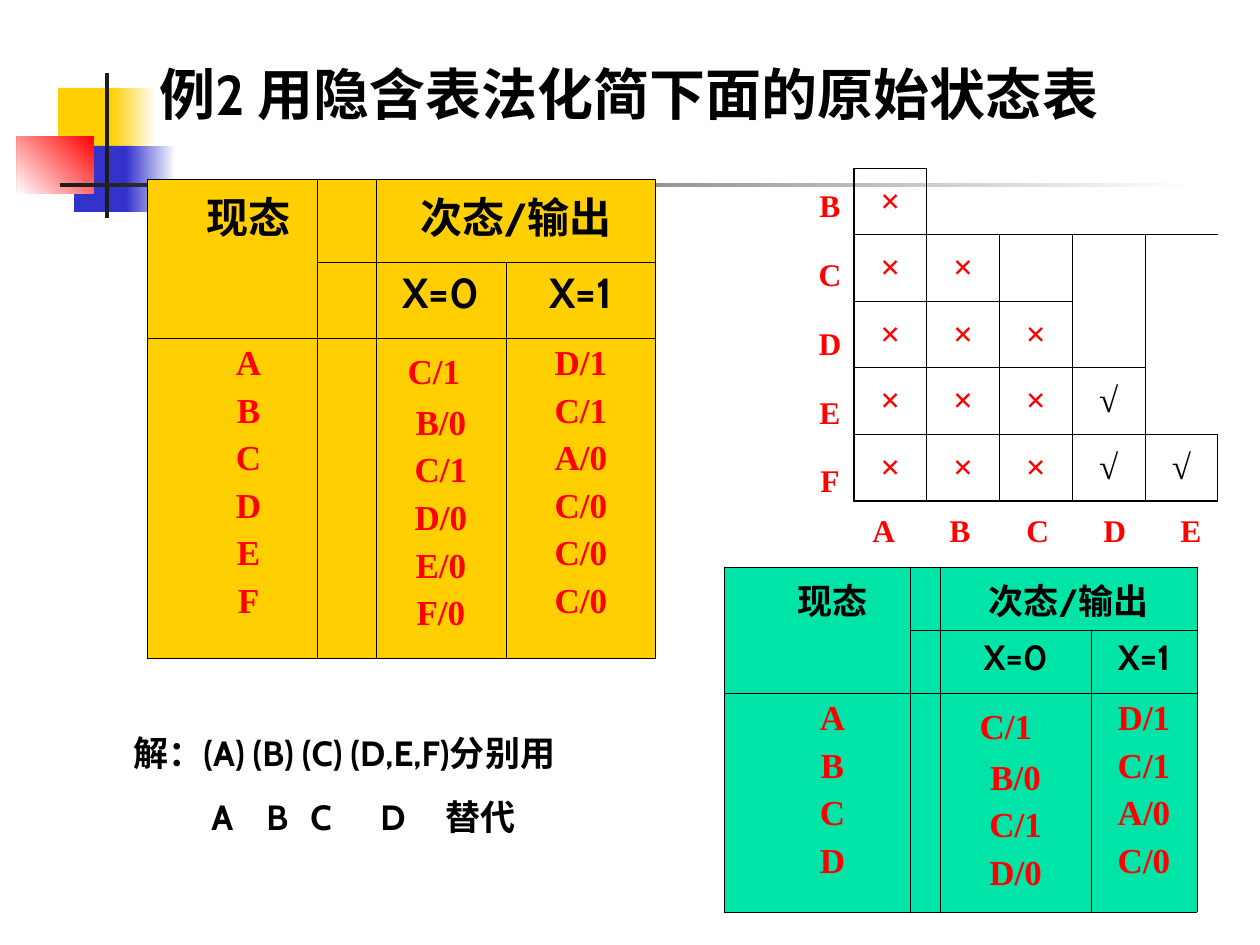
from lxml import etree
from pptx import Presentation, util as u
from pptx.dml.color import RGBColor
from pptx.enum import shapes, text
from pptx.oxml.ns import qn

PX = u.Inches(1) // 126
NO_STYLE = "{2D5ABB26-0587-4C30-8999-92F81FD0307C}"
BLACK, RED, WHITE = "000000", "FF0000", "FFFFFF"
CABIN, TIMES = "Cabin", "Times New Roman"
CENTER = text.PP_ALIGN.CENTER
color = RGBColor.from_string


def write(frame, lines, size, font, ink, align=None, gap=0, spacing=None, tabs=()):
    """Fill a text frame with bold lines; gap is in points, tabs in px."""
    frame.word_wrap = True
    frame.text = "\n".join(lines)
    for index, para in enumerate(frame.paragraphs):
        para.alignment = align
        para.line_spacing = spacing
        if index:
            para.space_before = u.Pt(gap)
        if tabs:
            tab_list = etree.SubElement(para._p.get_or_add_pPr(), qn("a:tabLst"))
            for stop in tabs:
                etree.SubElement(tab_list, qn("a:tab"), pos=str(stop * PX), algn="l")
        for span in para.runs:
            span.font.size = u.Pt(size)
            span.font.name = font
            span.font.bold = True
            span.font.color.rgb = color(ink)


def border(cell, sides, thick=""):
    """Draw black lines on the sides named by letters from LRTB."""
    props = cell._tc.get_or_add_tcPr()
    for side in "LRTB":
        if side in sides:
            width = u.Pt(1.08 if side in thick else 0.45)
            line = etree.SubElement(props, qn("a:ln" + side), w=str(width))
            fill = etree.SubElement(line, qn("a:solidFill"))
            etree.SubElement(fill, qn("a:srgbClr"), val=BLACK)


deck = Presentation()
deck.slide_width, deck.slide_height = u.Inches(10), u.Inches(7.5)
page = deck.slides.add_slide(deck.slide_layouts[6])

# Corner ornament: left, top, width, height, first colour, last colour, angle
ornament = [
    (58, 88, 60, 66, "FFCF01", None, 0),
    (111, 88, 45, 66, WHITE, "FFCF01", 180),
    (74, 146, 58, 66, "3333CC", None, 0),
    (126, 146, 50, 66, WHITE, "3333CC", 180),
    (17, 136, 77, 58, RED, WHITE, 225),
    (105, 73, 4, 145, "1C1C1C", None, 0),
    (60, 183, 1134, 4, WHITE, "1C1C1C", 180),
]
for left, top, width, height, first, last, angle in ornament:
    block = page.shapes.add_shape(
        shapes.MSO_SHAPE.RECTANGLE, left * PX, top * PX, width * PX, height * PX)
    block.shadow.inherit = False
    block.line.fill.background()
    if last:
        block.fill.gradient()
        block.fill.gradient_angle = angle
        for stop, shade in zip(block.fill.gradient_stops, (first, last)):
            stop.color.rgb = color(shade)
    else:
        block.fill.solid()
        block.fill.fore_color.rgb = color(first)

title = page.shapes.add_textbox(147 * PX, 53 * PX, 1040 * PX, 95 * PX)
write(title.text_frame, ["例2 用隐含表法化简下面的原始状态表"], 32, CABIN, BLACK)

# State tables, before and after reduction; narrow columns are left-hand spacers
states = ["A", "B", "C", "D", "E", "F"]
next_0 = ["C/1", "B/0", "C/1", "D/0", "E/0", "F/0"]
next_1 = ["D/1", "C/1", "A/0", "C/0", "C/0", "C/0"]
state_tables = [
    (147, 179, [33, 137, 59, 130, 150], [83, 76, 317], "FFCF01", 24, 6, 19),
    (724, 567, [31, 155, 30, 151, 106], [63, 63, 216], "00E4A8", 20, 4, 27),
]
for left, top, widths, heights, shade, head_size, count, indent in state_tables:
    holder = page.shapes.add_table(
        3, 5, left * PX, top * PX, sum(widths) * PX, sum(heights) * PX)
    next(holder.element.iter(qn("a:tableStyleId"))).text = NO_STYLE
    table = holder.table
    table.first_row = table.horz_banding = False
    for column, width in zip(table.columns, widths):
        column.width = width * PX
    for row, height in zip(table.rows, heights):
        row.height = height * PX
    table.cell(0, 0).merge(table.cell(1, 0))
    table.cell(0, 1).merge(table.cell(1, 1))
    table.cell(0, 3).merge(table.cell(0, 4))
    for row in range(3):
        for column, sides in enumerate(["LTB", "RTB", "LTB", "RTB", "LRTB"]):
            cell = table.cell(row, column)
            if not cell.is_spanned:
                border(cell, sides if row or column != 2 else "LTB")
            cell.fill.solid()
            cell.fill.fore_color.rgb = color(shade)
    headings = [(0, 1, "现态"), (0, 3, "次态/输出"), (1, 3, "X=0"), (1, 4, "X=1")]
    for row, column, heading in headings:
        write(table.cell(row, column).text_frame, [heading], head_size, CABIN, BLACK, CENTER)
    for column, entries in [(1, states), (3, next_0), (4, next_1)]:
        write(table.cell(2, column).text_frame, entries[:count], 20, TIMES, RED, CENTER, 5)
    # The first X=0 entry sits lower and further left than its column
    shifted = table.cell(2, 3)
    shifted.margin_top = 15 * PX
    first_entry, second_entry = shifted.text_frame.paragraphs[:2]
    first_entry.alignment = text.PP_ALIGN.LEFT
    first_entry._p.get_or_add_pPr().set("marL", str(indent * PX))
    second_entry.space_before = u.Pt(7)

# Implication chart: a staircase of compared state pairs
holder = page.shapes.add_table(5, 5, 854 * PX, 168 * PX, 364 * PX, 333 * PX)
next(holder.element.iter(qn("a:tableStyleId"))).text = NO_STYLE
stairs = holder.table
stairs.first_row = stairs.horz_banding = False
stairs.cell(0, 1).merge(stairs.cell(0, 4))
stairs.cell(1, 3).merge(stairs.cell(2, 3))
stairs.cell(1, 4).merge(stairs.cell(3, 4))
for row in range(5):
    for column in range(5):
        cell = stairs.cell(row, column)
        if column <= row:
            border(cell, "LRTB", "L" * (column == 0) + "B" * (row == 4))
            cell.vertical_anchor = text.MSO_ANCHOR.MIDDLE
            mark, ink = ("√", BLACK) if column >= 3 else ("×", RED)
            write(cell.text_frame, [mark], 20, TIMES, ink, CENTER)
        elif row or column == 1:
            border(cell, "LB" if column == row + 1 else "L")
        cell.fill.background()

row_labels = page.shapes.add_textbox(800 * PX, 169 * PX, 60 * PX, 338 * PX)
write(row_labels.text_frame, states[1:], 18, TIMES, RED, CENTER, 11.2, 1.3)
column_labels = page.shapes.add_textbox(860 * PX, 494 * PX, 363 * PX, 62 * PX)
write(column_labels.text_frame, ["\t".join(states[:5])], 18, TIMES, RED,
      spacing=1.3, tabs=[77 * step for step in range(1, 5)])

solution = page.shapes.add_textbox(121 * PX, 725 * PX, 541 * PX, 118 * PX)
write(solution.text_frame,
      ["解：(A) (B) (C) (D,E,F)分别用", "\tA\tB\tC\tD\t替代"],
      20, CABIN, BLACK, gap=12.5, tabs=[78, 133, 177, 247, 312])

deck.save("out.pptx")
